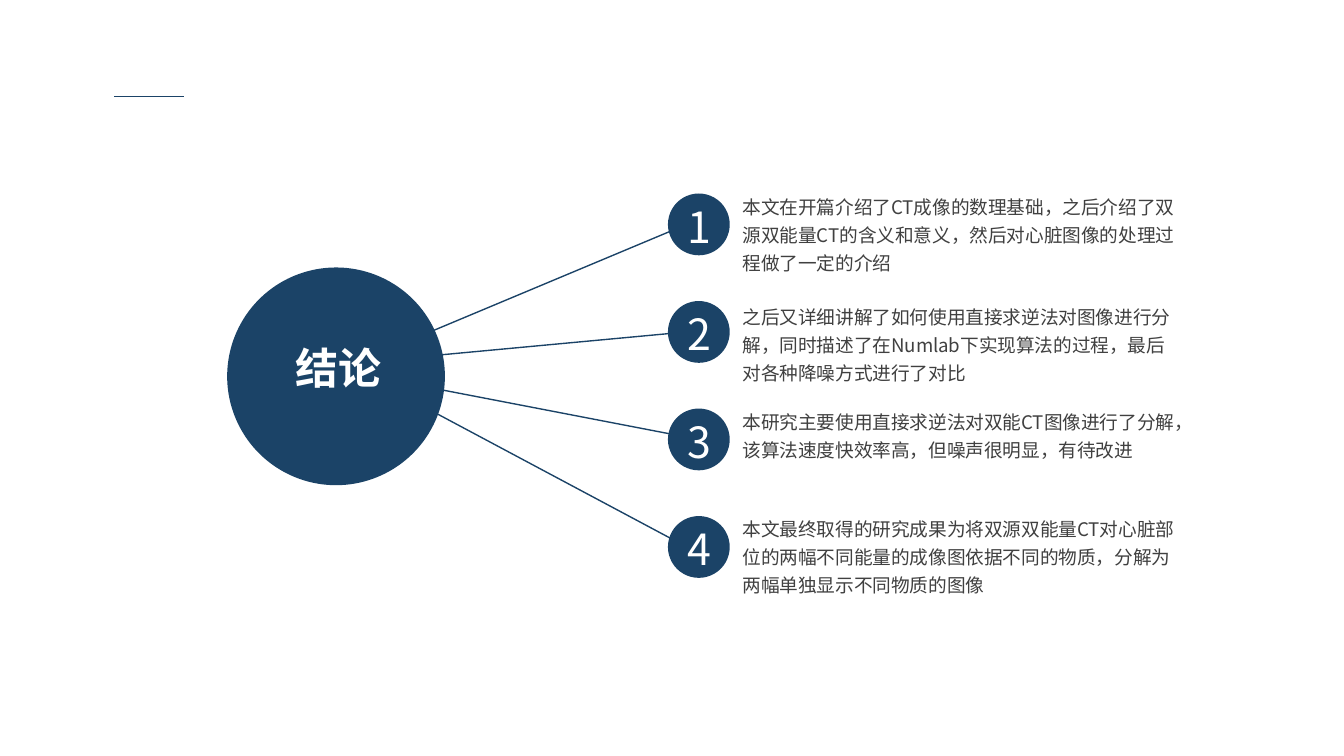
from pptx import Presentation
from pptx.dml.color import RGBColor
from pptx.enum.shapes import MSO_CONNECTOR as Connector, MSO_SHAPE as Preset
from pptx.enum.text import MSO_AUTO_SIZE as AutoSize, PP_ALIGN as Align
from pptx.oxml.ns import qn
from pptx.util import Emu, Pt
from lxml.etree import SubElement

PX_PER_INCH = 200
FONT = "Noto Sans CJK SC"
NAVY, GREY, WHITE = "1B4367", "404040", "FFFFFF"
BADGE_LEFT, BADGE_TOP, BADGE_SIZE, BADGE_STEP = 994, 288, 92, 160

CONCLUSIONS = [
    (275, 142, "本文在开篇介绍了CT成像的数理基础，之后介绍了双源双能量CT的含义和意义，然后对心脏图像的处理过程做了一定的介绍"),
    (439, 142, "之后又详细讲解了如何使用直接求逆法对图像进行分解，同时描述了在Numlab下实现算法的过程，最后对各种降噪方式进行了对比"),
    (595, 100, "本研究主要使用直接求逆法对双能CT图像进行了分解，该算法速度快效率高，但噪声很明显，有待改进"),
    (755, 142, "本文最终取得的研究成果为将双源双能量CT对心脏部位的两幅不同能量的成像图依据不同的物质，分解为两幅单独显示不同物质的图像"),
]
SPOKES = [
    (530, 540, 1022, 334),
    (528, 540, 1022, 494),
    (542, 558, 1040, 654),
    (542, 558, 1022, 814),
]


def px(length):
    return Emu(length * 914400 // PX_PER_INCH)


def color(value):
    return RGBColor.from_string(value)


def add_line(shapes, *ends):
    line = shapes.add_connector(Connector.STRAIGHT, *map(px, ends))
    line.line.color.rgb = color(NAVY)
    line.line.width = Pt(0.75)
    SubElement(line._element.spPr, qn("a:effectLst"))


def add_circle(shapes, left, top, size):
    circle = shapes.add_shape(Preset.OVAL, px(left), px(top), px(size), px(size))
    circle.shadow.inherit = False
    circle.fill.solid()
    circle.fill.fore_color.rgb = color(NAVY)
    circle.line.fill.background()


def add_text(shapes, box, text, size, ink, bold=False, align=Align.LEFT):
    frame = shapes.add_textbox(*map(px, box)).text_frame
    frame.word_wrap = True
    frame.auto_size = AutoSize.SHAPE_TO_FIT_TEXT
    paragraph = frame.paragraphs[0]
    paragraph.text = text
    paragraph.alignment = align
    font = paragraph.font
    font.name = FONT
    font.size = Pt(size)
    font.bold = bold
    font.color.rgb = color(ink)
    defaults = paragraph._p.pPr.find(qn("a:defRPr"))
    SubElement(defaults, qn("a:ea"), typeface=FONT)
    return frame


def add_labelled_circle(slide, circle, label_box, label, bold=False):
    shapes = slide.shapes.add_group_shape().shapes
    add_circle(shapes, *circle)
    add_text(shapes, label_box, label, 23, WHITE, bold, Align.CENTER)


def add_conclusion(slide, index, top, height, text):
    badge_top = BADGE_TOP + index * BADGE_STEP
    add_labelled_circle(slide, (BADGE_LEFT, badge_top, BADGE_SIZE),
                        (BADGE_LEFT + 2, badge_top, 90, 98), str(index + 1))
    body = add_text(slide.shapes, (1091, top, 680, height), text, 10, GREY)
    body.margin_left = body.margin_right = px(14)
    body.margin_top = body.margin_bottom = px(8)
    body.paragraphs[0].line_spacing = Pt(15)


def main():
    deck = Presentation()
    deck.slide_width, deck.slide_height = px(2000), px(1125)
    slide = deck.slides.add_slide(deck.slide_layouts[6])
    for spoke in SPOKES:
        add_line(slide.shapes, *spoke)
    for index, conclusion in enumerate(CONCLUSIONS):
        add_conclusion(slide, index, *conclusion)
    add_labelled_circle(slide, (338, 398, 324), (342, 498, 324, 98), "结论", True)
    add_line(slide.shapes, 170, 144, 274, 144)
    deck.save("out.pptx")


if __name__ == "__main__":
    main()
